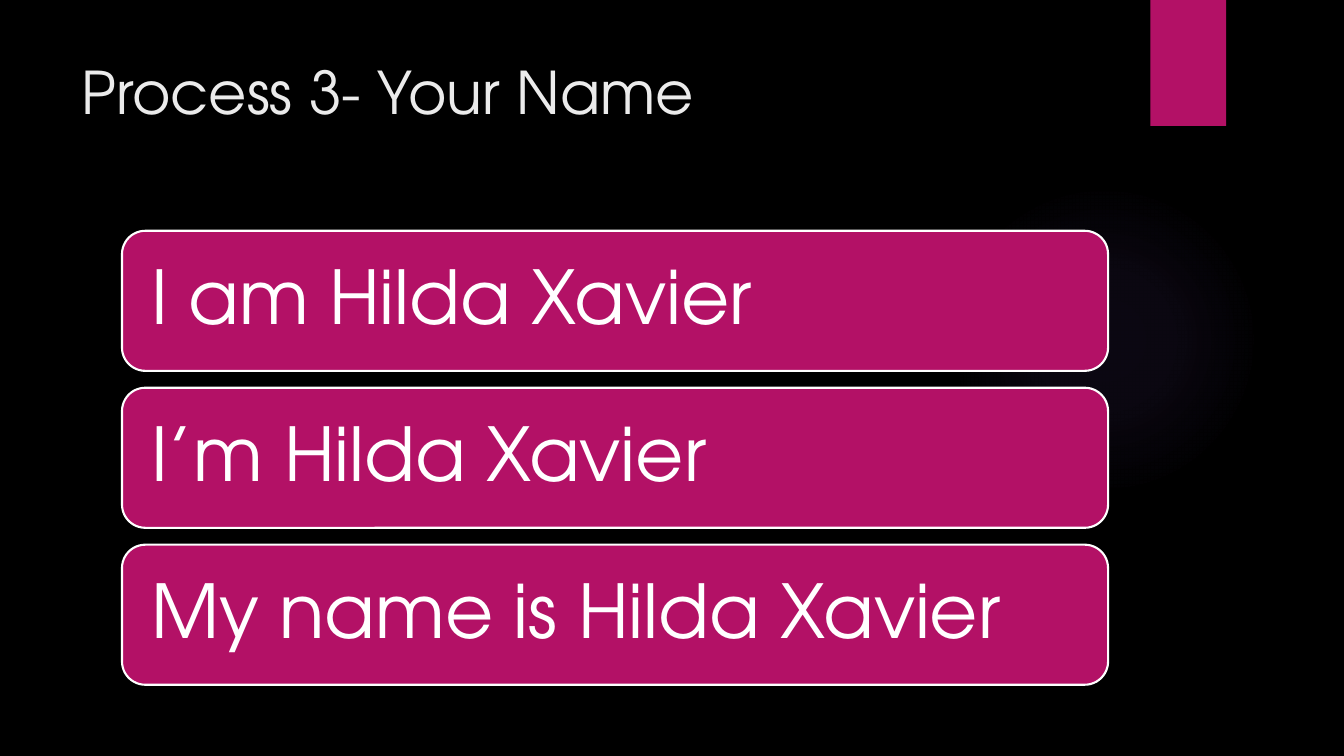
from dataclasses import dataclass

from lxml import etree
from pptx import Presentation
from pptx.dml.color import RGBColor
from pptx.enum.shapes import MSO_SHAPE
from pptx.enum.text import MSO_ANCHOR, PP_ALIGN
from pptx.oxml import parse_xml
from pptx.oxml.ns import nsdecls, qn
from pptx.shapes.autoshape import Shape
from pptx.slide import Slide
from pptx.text.text import TextFrame
from pptx.util import Inches, Pt

OVAL, RECT, ROUND = MSO_SHAPE.OVAL, MSO_SHAPE.RECTANGLE, MSO_SHAPE.ROUNDED_RECTANGLE
TOP, MIDDLE, LEFT = MSO_ANCHOR.TOP, MSO_ANCHOR.MIDDLE, PP_ALIGN.LEFT
WIDTH, HEIGHT = Inches(13.33), Inches(7.5)
COL, ROW = WIDTH / 100, HEIGHT / 100


@dataclass(frozen=True)
class Theme:
    font: str = "TeX Gyre Adventor"
    back: str = "000000"
    pink: str = "B31166"
    glow: str = "9B6BF2"
    pale: str = "EBEBEB"
    white: str = "FFFFFF"
    title: float = 42
    card: float = 53
    edge: float = 1.5


@dataclass(frozen=True)
class Area:
    """Place on the grid of 100 columns by 100 rows."""
    col: float
    row: float
    wide: float
    high: float

    def box(self) -> tuple[int, int, int, int]:
        return (round(self.col * COL), round(self.row * ROW),
                round(self.wide * COL), round(self.high * ROW))


THEME = Theme()
GLOW = Area(70.59, 24.4, 23.11, 41.07)
TAB = Area(85.6, 0, 5.63, 16.67)
TITLE = Area(5.33, 6.67, 77.2, 20.4)
CARD = Area(9.08, 30.53, 73.37, 18.53)
STEP = 20.76
CARDS = ("I am Hilda Xavier", "I’m Hilda Xavier", "My name is Hilda Xavier")
FADE = ((0, 7), (36, 6), (69, 0))  # position and opacity, in percent

TITLE_FRAME = {"word_wrap": True, "vertical_anchor": TOP}
CARD_FRAME = {"word_wrap": True, "vertical_anchor": MIDDLE} | {
    f"margin_{side}": Inches(0.22) for side in ("left", "top", "right", "bottom")}


def apply(item: object, values: dict) -> None:
    for name, value in values.items():
        setattr(item, name, value)


def draw(slide: Slide, kind: MSO_SHAPE, area: Area, edge: str = "") -> Shape:
    shape = slide.shapes.add_shape(kind, *area.box())
    shape.shadow.inherit = False
    shape.fill.solid()
    shape.fill.fore_color.rgb = RGBColor.from_string(THEME.pink)
    if edge:
        shape.line.color.rgb = RGBColor.from_string(edge)
        shape.line.width = Pt(THEME.edge)
    else:
        shape.line.fill.background()
    return shape


def write(frame: TextFrame, text: str, size: float, color: str,
          layout: dict, lead: float = 1) -> None:
    apply(frame, layout)
    para = frame.paragraphs[0]
    apply(para, {"alignment": LEFT, "line_spacing": lead})
    run = para.add_run()
    run.text = text
    apply(run.font, {"name": THEME.font, "size": Pt(size)})
    run.font.color.rgb = RGBColor.from_string(color)


def soften(shape: Shape) -> None:
    """Swap the solid fill for a radial fade."""
    stops = "".join(
        f'<a:gs pos="{pos * 1000}"><a:srgbClr val="{THEME.glow}">'
        f'<a:alpha val="{alpha * 1000}"/></a:srgbClr></a:gs>' for pos, alpha in FADE)
    fade = parse_xml(
        f'<a:gradFill {nsdecls("a")} rotWithShape="1"><a:gsLst>{stops}</a:gsLst>'
        '<a:path path="circle"/></a:gradFill>')
    center = {side: "50000" for side in "ltrb"}
    etree.SubElement(fade.find(qn("a:path")), qn("a:fillToRect"), center)
    props = shape.element.spPr
    props.replace(props.find(qn("a:solidFill")), fade)


def main() -> None:
    deck = Presentation()
    apply(deck, {"slide_width": WIDTH, "slide_height": HEIGHT})
    slide = deck.slides.add_slide(deck.slide_layouts[6])

    # Backdrop
    slide.background.fill.solid()
    slide.background.fill.fore_color.rgb = RGBColor.from_string(THEME.back)
    soften(draw(slide, OVAL, GLOW))
    draw(slide, RECT, TAB)

    # Title
    head = slide.shapes.add_textbox(*TITLE.box())
    write(head.text_frame, "Process 3- Your Name", THEME.title, THEME.pale, TITLE_FRAME)

    # Cards
    for index, text in enumerate(CARDS):
        area = Area(CARD.col, CARD.row + index * STEP, CARD.wide, CARD.high)
        card = draw(slide, ROUND, area, THEME.white)
        write(card.text_frame, text, THEME.card, THEME.white, CARD_FRAME, 0.9)

    deck.save("out.pptx")


if __name__ == "__main__":
    main()
